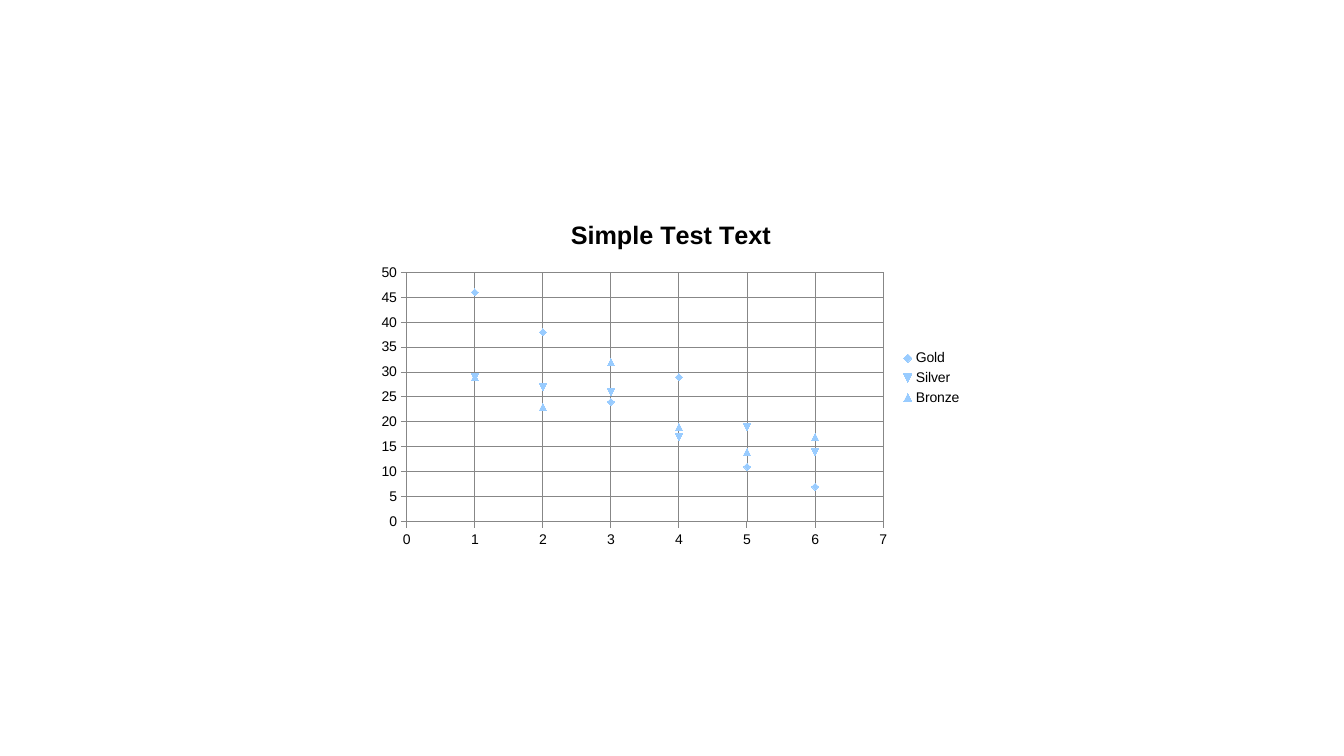
import pptx
import pptx.chart.data
import pptx.dml.color
import pptx.enum.chart
import pptx.util

Pt = pptx.util.Pt
COLORS = {"text": "000000", "line": "878787", "marker": "99CCFF"}
MEDALS = {
    "Gold": (46, 38, 24, 29, 11, 7),
    "Silver": (29, 27, 26, 17, 19, 14),
    "Bronze": (29, 23, 32, 19, 14, 17),
}


class Deck:
    font = "Arial"

    def __init__(self, width, height):
        self.prs = pptx.Presentation()
        self.prs.slide_width, self.prs.slide_height = Pt(width), Pt(height)
        self.s = self.prs.slides.add_slide(self.prs.slide_layouts[6])

    def color(self, name):
        return pptx.dml.color.RGBColor.from_string(COLORS[name])

    def set(self, obj, values):
        for name, value in values.items():
            setattr(obj, name, value)

    def style_font(self, font, size, bold=False):
        self.set(font, {"name": self.font, "size": Pt(size), "bold": bold})
        font.color.rgb = self.color("text")

    def style_line(self, line):
        line.width = Pt(0.75)
        line.color.rgb = self.color("line")

    def axis(self, axis, maximum, step):
        self.set(axis, {
            "minimum_scale": 0,
            "maximum_scale": maximum,
            "major_unit": step,
            "has_major_gridlines": True,
            "major_tick_mark": pptx.enum.chart.XL_TICK_MARK.OUTSIDE,
            "minor_tick_mark": pptx.enum.chart.XL_TICK_MARK.NONE,
        })
        self.style_line(axis.format.line)
        self.style_line(axis.major_gridlines.format.line)

    def scatter(self, title, series, left, top, width, height):
        data = pptx.chart.data.XyChartData(number_format="General")
        for name, values in series.items():
            points = data.add_series(name)
            for x, y in enumerate(values, 1):
                points.add_data_point(x, y)
        chart = self.s.shapes.add_chart(
            pptx.enum.chart.XL_CHART_TYPE.XY_SCATTER,
            Pt(left), Pt(top), Pt(width), Pt(height), data).chart
        self.style_font(chart.font, 10)
        self.set(chart, {"has_title": True, "has_legend": True})
        tf = chart.chart_title.text_frame
        tf.text = title
        self.style_font(tf.paragraphs[0].runs[0].font, 18, True)
        self.set(chart.legend, {
            "position": pptx.enum.chart.XL_LEGEND_POSITION.RIGHT,
            "include_in_layout": False,
        })
        self.axis(chart.category_axis, 7, 1)
        self.axis(chart.value_axis, 50, 5)
        chart.plots[0].vary_by_categories = False
        for plotted in chart.plots[0].series:
            plotted.smooth = False
            plotted.format.line.fill.background()
            marker = plotted.marker
            marker.style = pptx.enum.chart.XL_MARKER_STYLE.AUTOMATIC
            marker.format.fill.solid()
            marker.format.fill.fore_color.rgb = self.color("marker")
            marker.format.line.fill.background()


def main():
    deck = Deck(960, 540)
    deck.scatter("Simple Test Text", MEDALS, 264, 144, 430.5, 252)
    deck.prs.save("out.pptx")


if __name__ == "__main__":
    main()
